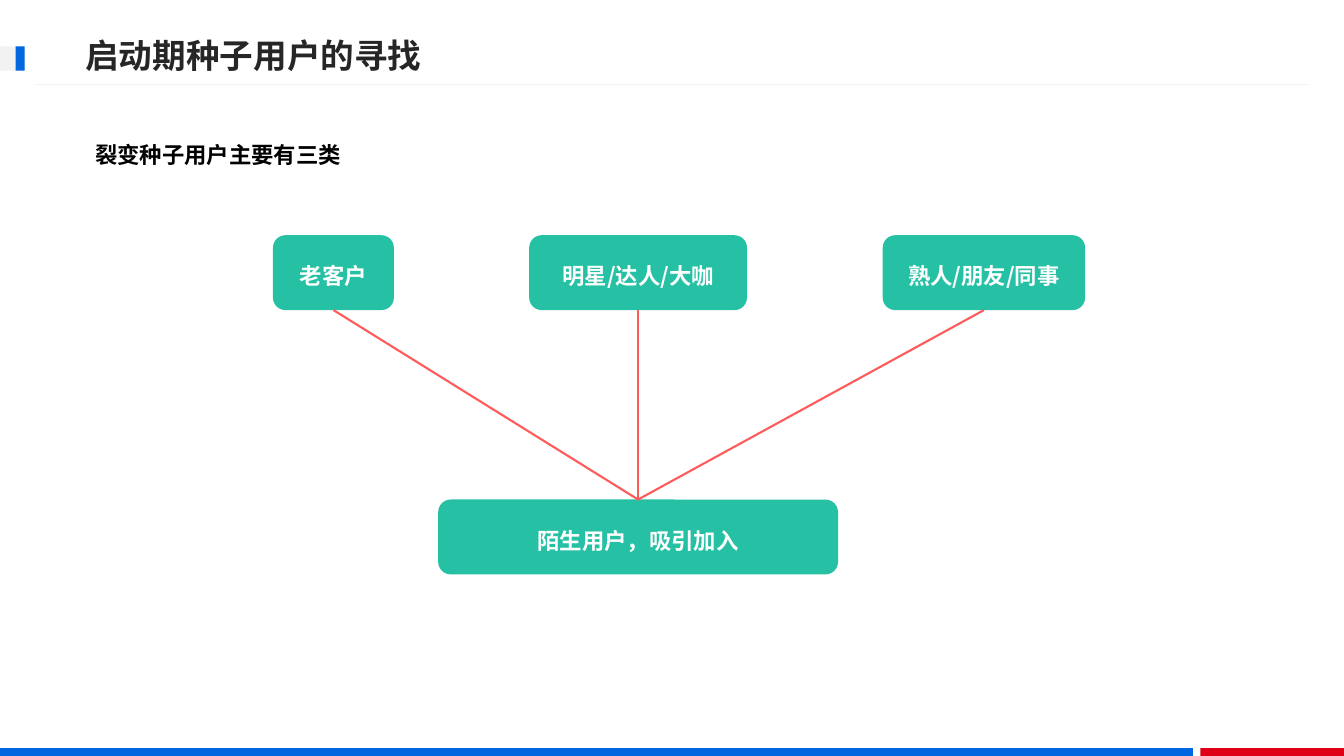
from dataclasses import dataclass

from lxml.etree import SubElement
from pptx import Presentation
from pptx.dml.color import RGBColor as Color
from pptx.enum.shapes import MSO_CONNECTOR as Connector, MSO_SHAPE as Shape
from pptx.enum.text import MSO_ANCHOR as Anchor, PP_ALIGN as Align
from pptx.oxml.ns import qn
from pptx.util import Pt


@dataclass(frozen=True)
class Theme:
    blue: str = "0067E1"
    red: str = "DE0014"
    pale: str = "F2F2F2"
    teal: str = "26C0A5"
    coral: str = "FF5B5B"
    ink: str = "262626"
    black: str = "000000"
    white: str = "FFFFFF"
    heading_font: str = "Noto Sans CJK JP"
    card_font: str = "Noto Sans CJK SC"
    title_size: int = 24
    body_size: int = 16


THEME = Theme()
TOP, BOTTOM = 0, 2


def add_block(page, kind, box, color):
    block = page.shapes.add_shape(kind, *map(Pt, box))
    block.shadow.inherit = False
    block.fill.solid()
    block.fill.fore_color.rgb = Color.from_string(color)
    block.line.fill.background()
    return block


def add_line(page, start, end, color, width):
    line = page.shapes.add_connector(Connector.STRAIGHT, *map(Pt, (*start, *end)))
    line.line.color.rgb = Color.from_string(color)
    line.line.width = Pt(width)
    SubElement(line._element.spPr, qn("a:effectLst"))
    return line


def write(shape, text, font, size, color, insets):
    frame = shape.text_frame
    frame.vertical_anchor = Anchor.MIDDLE
    frame.margin_left, frame.margin_top, frame.margin_right, frame.margin_bottom = map(Pt, insets)
    frame.text = text
    para = frame.paragraphs[0]
    span = para.runs[0]
    span.font.size = Pt(size)
    span.font.bold = True
    span.font.color.rgb = Color.from_string(color)
    span.font.name = font
    SubElement(span.font._element, qn("a:ea"), typeface=font)
    return para


def add_heading(page, box, text, size, color, insets, wrap):
    label = page.shapes.add_textbox(*map(Pt, box))
    label.text_frame.word_wrap = wrap
    write(label, text, THEME.heading_font, size, color, insets)
    label.text_frame.vertical_anchor = Anchor.MIDDLE if wrap else Anchor.TOP


def add_header(page, box, title):
    left, top, width, height = box
    tab_top = top + 14.2
    add_block(page, Shape.RECTANGLE, (left, tab_top, 17.7, 17.3), THEME.pale)
    add_block(page, Shape.RECTANGLE, (left + 11.2, tab_top, 6.5, 17.3), THEME.blue)
    rule = top + height
    add_line(page, (left + 25.5, rule), (left + width - 25.5, rule), THEME.pale, 0.75)
    add_heading(page, (left + 56, top, 690.5, 41), title,
                THEME.title_size, THEME.ink, (5, 3, 5, 3), True)


def add_footer(page, box):
    left, top, width, height = box
    red_width, gap = 102.5, 5.5
    blue_width = width - red_width - gap
    add_block(page, Shape.RECTANGLE, (left, top, blue_width, height), THEME.blue)
    add_block(page, Shape.RECTANGLE,
              (left + blue_width + gap, top, red_width, height), THEME.red)


def add_card(page, box, text):
    card = add_block(page, Shape.ROUNDED_RECTANGLE, box, THEME.teal)
    card.text_frame.word_wrap = True
    para = write(card, text, THEME.card_font, THEME.body_size, THEME.white, (7.2, 3.6, 7.2, 8.6))
    para.alignment = Align.CENTER
    para.line_spacing = 1.5
    return card


def add_funnel(page, box, sources, target):
    left, top, width, height = box
    card_height, target_width, target_left = 53.5, 285.6, 118
    goal = add_card(page, (left + target_left, top + height - card_height,
                           target_width, card_height), target)
    for offset, card_width, text in sources:
        card = add_card(page, (left + offset, top, card_width, card_height), text)
        link = add_line(page, (0, 0), (0, 0), THEME.coral, 1.5)
        link.begin_connect(card, BOTTOM)
        link.end_connect(goal, TOP)


def build_seed_users(page):
    add_footer(page, (0, 534.3, 960, 5.7))
    add_header(page, (0, 19, 960, 41.2), "启动期种子用户的寻找")
    add_heading(page, (61, 97, 190, 26.5), "裂变种子用户主要有三类",
                THEME.body_size, THEME.black, (7.2, 3.6, 7.2, 3.6), False)
    sources = [(0, 86.4, "老客户"),
               (183, 155.6, "明星/达人/大咖"),
               (435.5, 144.6, "熟人/朋友/同事")]
    add_funnel(page, (195, 168, 580, 242.3), sources, "陌生用户，吸引加入")


def main():
    deck = Presentation()
    deck.slide_width, deck.slide_height = Pt(960), Pt(540)
    build_seed_users(deck.slides.add_slide(deck.slide_layouts[6]))
    deck.save("out.pptx")


if __name__ == "__main__":
    main()
